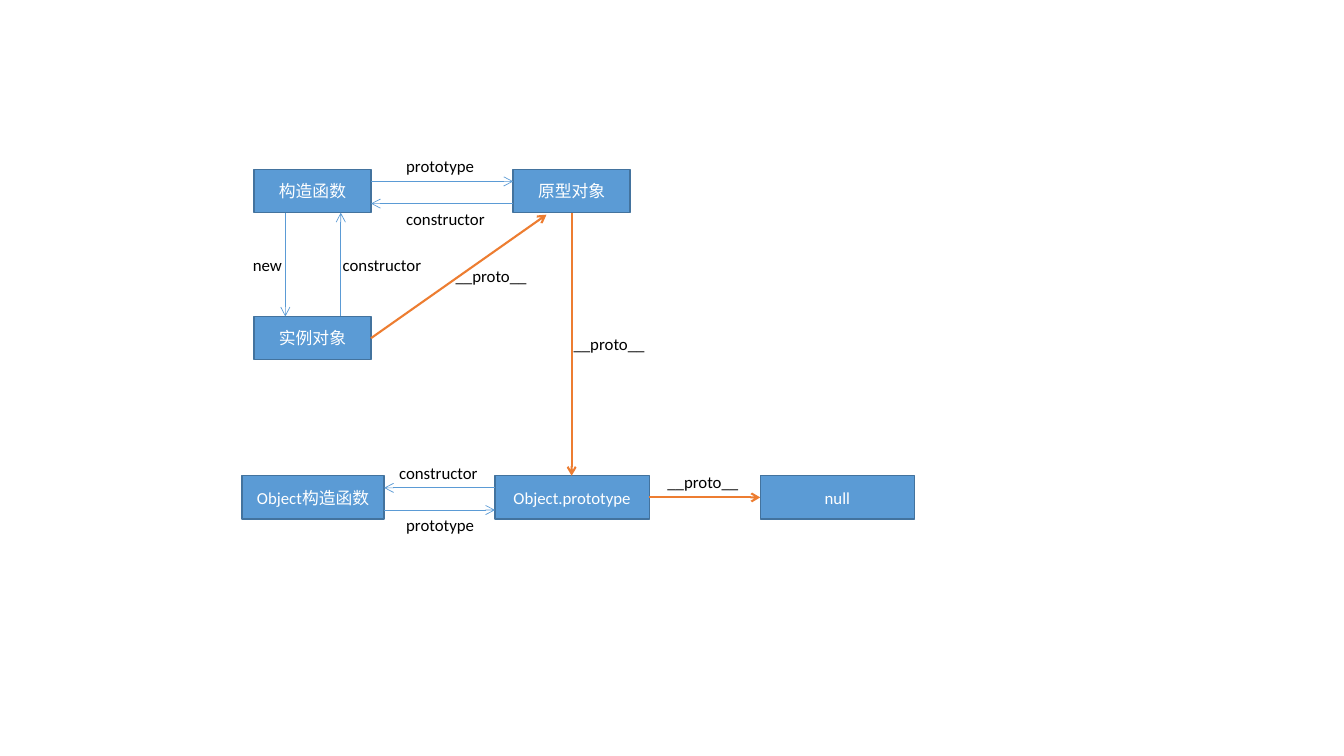
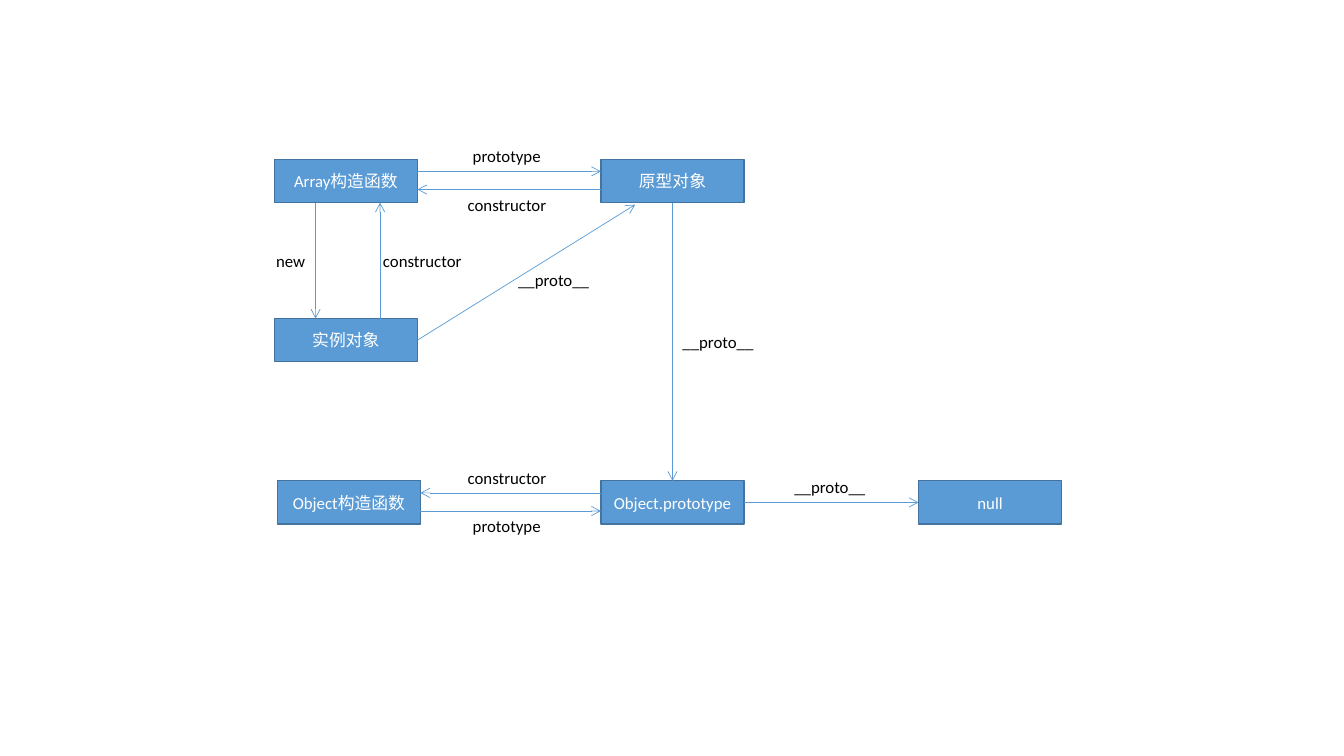
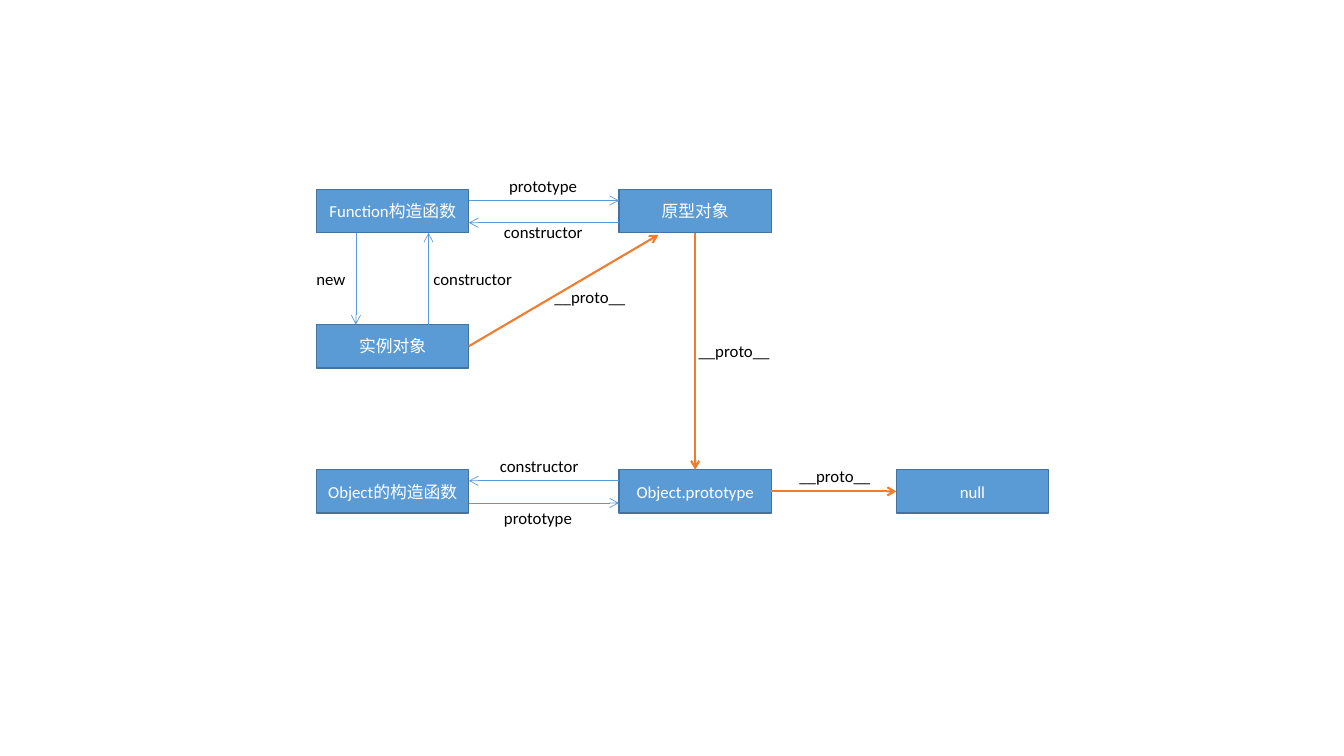
from dataclasses import dataclass

from pptx import Presentation
from pptx import util as u
from pptx.dml.color import RGBColor
from pptx.enum import shapes, text
from pptx.oxml.ns import qn
from lxml import etree

BLUE = RGBColor(0x5B, 0x9B, 0xD5)
EDGE = RGBColor(0x43, 0x73, 0x9E)
ORANGE = RGBColor(0xED, 0x7D, 0x31)
WHITE = RGBColor(0xFF, 0xFF, 0xFF)
BLACK = RGBColor(0x00, 0x00, 0x00)
FONT = "Calibri"
BOX_H = 0.43
LABEL_H = 0.3
LABEL_W = {"new": 0.55, "prototype": 0.92, "constructor": 1.02, "__proto__": 1.02}


@dataclass
class Diagram:
    """Wording and grid of one prototype chain, in inches."""
    constructor: str
    base: str
    chain_color: RGBColor
    chain_width: float
    rows: tuple          # tops: constructor, instance, base
    upper: tuple         # lefts: constructor, prototype
    lower: tuple         # lefts: base constructor, base prototype, null
    widths: tuple        # upper boxes, base constructor, base prototype and null
    lanes: tuple         # offsets of the paired arrows below a box top
    uprights: tuple      # x of the new and constructor arrows
    tip: float           # x where the instance arrow meets the prototype
    upright_labels: tuple
    upper_labels: tuple
    lower_labels: tuple
    chain_labels: tuple  # lefts: from instance, from prototype, to null
    slant_label_top: float
    lift: float = 0      # rise of the upper constructor label


diagrams = [
    Diagram("构造函数", "Object构造函数", ORANGE, 1.5,
            (1.68, 3.14, 4.72), (2.52, 5.09), (2.4, 4.91, 7.54), (1.16, 1.41, 1.53),
            (0.12, 0.34), (2.83, 3.38), 5.42,
            (2.41, 3.3), (3.93, 3.93), (3.86, 3.93), (4.42, 5.59, 6.52), 2.59),
    Diagram("Array构造函数", "Object构造函数", BLUE, 0.5,
            (1.58, 3.16, 4.77), (2.72, 5.96), (2.75, 5.96, 9.11), (1.42, 1.42, 1.42),
            (0.12, 0.3), (3.13, 3.77), 6.3,
            (2.64, 3.7), (4.59, 4.54), (4.54, 4.59), (5.04, 6.67, 7.78), 2.63),
    Diagram("Function构造函数", "Object的构造函数", ORANGE, 1.5,
            (1.88, 3.22, 4.66), (3.14, 6.14), (3.14, 6.14, 8.89), (1.51, 1.51, 1.51),
            (0.11, 0.33), (3.53, 4.25), 6.53,
            (3.04, 4.2), (4.95, 4.9), (4.86, 4.9), (5.4, 6.83, 7.83), 2.8, 0.06),
]


def write(shape, wording, color):
    """Set a shape's wording in the shared type style."""
    shape.text_frame.text = wording
    shape.text_frame.word_wrap = True
    font = shape.text_frame.paragraphs[0].runs[0].font
    font.name, font.size, font.color.rgb = FONT, u.Pt(12), color


def arrow(slide, start, end, color=BLUE, width=0.5):
    """Draw a straight line with an open arrowhead at its end."""
    link = slide.shapes.add_connector(
        shapes.MSO_CONNECTOR.STRAIGHT, *map(u.Inches, (*start, *end)))
    link.line.color.rgb = color
    link.line.width = u.Pt(width)
    etree.SubElement(link.line._get_or_add_ln(), qn("a:tailEnd"), type="arrow")
    etree.SubElement(link._element.spPr, qn("a:effectLst"))


deck = Presentation()
deck.slide_width, deck.slide_height = u.Inches(13.33), u.Inches(7.5)

for d in diagrams:
    slide = deck.slides.add_slide(deck.slide_layouts[6])
    top, middle, low = d.rows
    own, proto = d.upper
    base, base_proto, null = d.lower
    upper_w, base_w, end_w = d.widths
    first, second = d.lanes
    new_x, back_x = d.uprights
    own_right, base_right, end_right = own + upper_w, base + base_w, base_proto + end_w
    under_top = top + BOX_H
    proto_center = proto + upper_w / 2
    low_center = low + BOX_H / 2

    for wording, left, row, width in [
        (d.constructor, own, top, upper_w),
        ("实例对象", own, middle, upper_w),
        ("原型对象", proto, top, upper_w),
        (d.base, base, low, base_w),
        ("Object.prototype", base_proto, low, end_w),
        ("null", null, low, end_w),
    ]:
        box = slide.shapes.add_shape(
            shapes.MSO_SHAPE.RECTANGLE, *map(u.Inches, (left, row, width, BOX_H)))
        box.shadow.inherit = False
        box.fill.solid()
        box.fill.fore_color.rgb = BLUE
        box.line.color.rgb = EDGE
        box.line.width = u.Pt(1)
        write(box, wording, WHITE)
        box.text_frame.vertical_anchor = text.MSO_ANCHOR.MIDDLE
        box.text_frame.paragraphs[0].alignment = text.PP_ALIGN.CENTER

    for start, end in [
        ((new_x, under_top), (new_x, middle)),
        ((back_x, middle), (back_x, under_top)),
        ((own_right, top + first), (proto, top + first)),
        ((proto, top + second), (own_right, top + second)),
        ((base_proto, low + first), (base_right, low + first)),
        ((base_right, low + second), (base_proto, low + second)),
    ]:
        arrow(slide, start, end)
    for start, end in [
        ((own_right, middle + BOX_H / 2), (d.tip, under_top + 0.02)),
        ((proto_center, under_top), (proto_center, low)),
        ((end_right, low_center), (null, low_center)),
    ]:
        arrow(slide, start, end, d.chain_color, d.chain_width)

    beside_uprights = (under_top + middle - LABEL_H) / 2
    beside_chain = (under_top + low - LABEL_H) / 2
    for wording, left, label_top in [
        ("new", d.upright_labels[0], beside_uprights),
        ("constructor", d.upright_labels[1], beside_uprights),
        ("prototype", d.upper_labels[0], top + first - LABEL_H),
        ("constructor", d.upper_labels[1], top + second - d.lift),
        ("constructor", d.lower_labels[0], low + first - LABEL_H),
        ("prototype", d.lower_labels[1], low + second),
        ("__proto__", d.chain_labels[0], d.slant_label_top),
        ("__proto__", d.chain_labels[1], beside_chain),
        ("__proto__", d.chain_labels[2], low_center - LABEL_H),
    ]:
        label = slide.shapes.add_textbox(
            *map(u.Inches, (left, label_top, LABEL_W[wording], LABEL_H)))
        write(label, wording, BLACK)
        label.text_frame.auto_size = text.MSO_AUTO_SIZE.SHAPE_TO_FIT_TEXT

deck.save("out.pptx")
